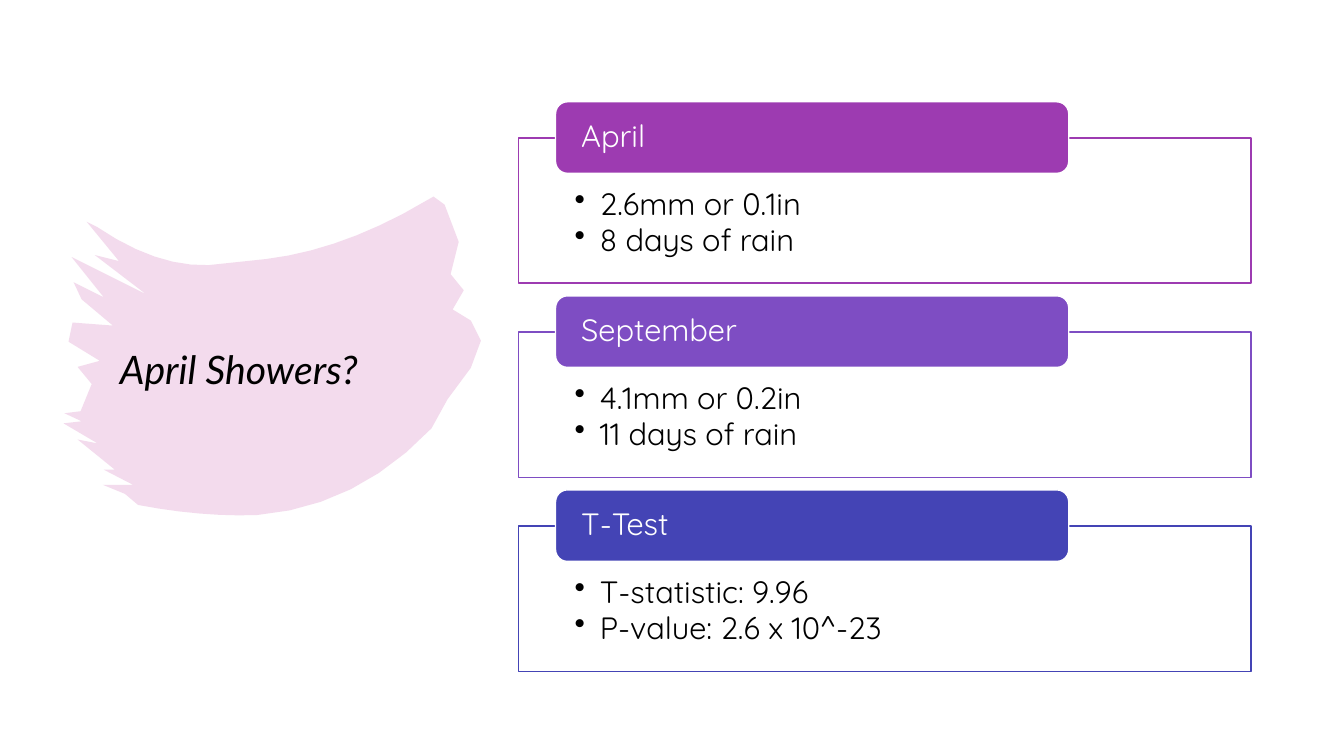
from dataclasses import dataclass

from lxml import etree
from pptx import Presentation
from pptx.dml.color import RGBColor
from pptx.enum.shapes import MSO_SHAPE
from pptx.enum.text import MSO_ANCHOR, PP_ALIGN
from pptx.oxml.ns import qn
from pptx.util import Inches, Pt

RECTANGLE = MSO_SHAPE.RECTANGLE
ROUNDED = MSO_SHAPE.ROUNDED_RECTANGLE
TOP, MIDDLE = MSO_ANCHOR.TOP, MSO_ANCHOR.MIDDLE
LEFT = PP_ALIGN.LEFT

BLACK, WHITE, PINK = "000000", "FFFFFF", "C34DA6"
FIRST_TOP, LAST_TOP = 1.37, 5.22
HEADER_RISE = 0.36
CURVE_STEPS = 6


@dataclass
class Panel:
    heading: str
    facts: tuple[str, ...]
    color: str


@dataclass
class Style:
    font: str
    size: float
    color: str
    italic: bool = False
    bullet: bool = False


@dataclass
class Curve:
    start: tuple[float, float]
    pull: tuple[float, float]
    end: tuple[float, float]

    def points(self) -> list[tuple[float, float]]:
        result = []
        for step in range(CURVE_STEPS + 1):
            t = step / CURVE_STEPS
            weights = ((1 - t) ** 2, 2 * t * (1 - t), t ** 2)
            corners = (self.start, self.pull, self.end)
            result.append((sum(w * c[0] for w, c in zip(weights, corners)),
                           sum(w * c[1] for w, c in zip(weights, corners))))
        return result


TOP_EDGE = [Curve((0.96, 2.25), (1.55, 2.65), (2.07, 2.63)),
            Curve((2.64, 2.57), (3.3, 2.49), (4.0, 2.12))]
RIGHT_EDGE = [(4.3, 1.95), (4.41, 2.03), (4.55, 2.4), (4.47, 2.72), (4.6, 2.88),
              (4.49, 3.07), (4.67, 3.18), (4.77, 3.38), (4.67, 3.65), (4.44, 3.96)]
BOTTOM_EDGE = [Curve((4.28, 4.25), (3.54, 5.03), (2.55, 5.11)),
               Curve((2.55, 5.11), (2.0, 5.13), (1.37, 5.01))]
LEFT_EDGE = [(1.24, 4.9), (1.02, 4.81), (1.32, 4.81), (1.03, 4.66), (1.14, 4.66),
             (0.77, 4.36), (0.97, 4.4), (0.63, 4.2), (0.81, 4.18), (0.64, 4.1),
             (0.8, 4.08), (0.91, 3.81), (0.77, 3.64), (0.99, 3.58), (0.68, 3.39),
             (0.72, 3.2), (1.12, 3.23), (0.81, 2.97), (0.73, 2.8), (1.03, 2.95),
             (0.71, 2.55), (1.45, 2.92), (0.94, 2.53), (1.18, 2.59), (0.86, 2.2)]

PANELS = [
    Panel("April", ("2.6mm or 0.1in", "8 days of rain"), "9D3BB1"),
    Panel("September", ("4.1mm or 0.2in", "11 days of rain"), "7E4DC3"),
    Panel("T-Test", ("T-statistic: 9.96", "P-value: 2.6 x 10^-23"), "4444B5"),
]
TITLE_STYLE = Style("Lato", 28, BLACK, italic=True)
HEADING_STYLE = Style("Quicksand", 22, WHITE)
FACT_STYLE = Style("Quicksand", 22, BLACK, bullet=True)


def rgb(color: str) -> RGBColor:
    return RGBColor.from_string(color)


def paint(shape, color: str, opacity: int = 100, line: str | None = None) -> None:
    shape.shadow.inherit = False
    shape.fill.solid()
    shape.fill.fore_color.rgb = rgb(color)
    if opacity < 100:
        tone = shape._element.spPr.find(f"{qn('a:solidFill')}/{qn('a:srgbClr')}")
        etree.SubElement(tone, qn("a:alpha"), val=str(opacity * 1000))
    if line:
        shape.line.color.rgb = rgb(line)
        shape.line.width = Pt(1)
    else:
        shape.line.fill.background()


def write(shape, lines: tuple[str, ...], style: Style, anchor: MSO_ANCHOR,
          insets: tuple[float, float, float, float]) -> None:
    frame = shape.text_frame
    frame.word_wrap = True
    frame.vertical_anchor = anchor
    (frame.margin_left, frame.margin_top,
     frame.margin_right, frame.margin_bottom) = map(Inches, insets)
    for index, line in enumerate(lines):
        para = frame.add_paragraph() if index else frame.paragraphs[0]
        para.alignment = LEFT
        para.line_spacing = 0.9
        if style.bullet:
            para.space_after = Pt(2)
            properties = para._p.get_or_add_pPr()
            properties.set("marL", str(Inches(0.25)))
            properties.set("indent", str(Inches(-0.25)))
            etree.SubElement(properties, qn("a:buChar"), char="•")
        span = para.add_run()
        span.text = line
        span.font.name = style.font
        span.font.size = Pt(style.size)
        span.font.italic = style.italic
        span.font.color.rgb = rgb(style.color)


def draw_brush_stroke(page) -> None:
    top = [point for curve in TOP_EDGE for point in curve.points()]
    bottom = [point for curve in BOTTOM_EDGE for point in curve.points()]
    outline = [(Inches(x), Inches(y))
               for x, y in top + RIGHT_EDGE + bottom + LEFT_EDGE]
    builder = page.shapes.build_freeform(*outline[0])
    builder.add_line_segments(outline[1:], close=True)
    paint(builder.convert_to_shape(), PINK, opacity=20)


def draw_title(page) -> None:
    box = page.shapes.add_textbox(Inches(1.09), Inches(2.87), Inches(3.29), Inches(1.64))
    write(box, ("April Showers?",), TITLE_STYLE, MIDDLE, (0.1, 0.05, 0.1, 0.05))


def draw_panel(page, panel: Panel, top: float) -> None:
    body = page.shapes.add_shape(
        RECTANGLE, Inches(5.14), Inches(top), Inches(7.27), Inches(1.44))
    paint(body, WHITE, opacity=90, line=panel.color)
    write(body, panel.facts, FACT_STYLE, TOP, (0.56, 0.5, 0.56, 0.17))
    header = page.shapes.add_shape(
        ROUNDED, Inches(5.51), Inches(top - HEADER_RISE), Inches(5.09), Inches(0.71))
    paint(header, panel.color, line=WHITE)
    write(header, (panel.heading,), HEADING_STYLE, MIDDLE, (0.22, 0, 0.22, 0))


def main() -> None:
    deck = Presentation()
    deck.slide_width, deck.slide_height = Inches(13.33), Inches(7.5)
    page = deck.slides.add_slide(deck.slide_layouts[6])
    draw_brush_stroke(page)
    draw_title(page)
    step = (LAST_TOP - FIRST_TOP) / (len(PANELS) - 1)
    for row, panel in enumerate(PANELS):
        draw_panel(page, panel, FIRST_TOP + row * step)
    deck.save("out.pptx")


if __name__ == "__main__":
    main()
